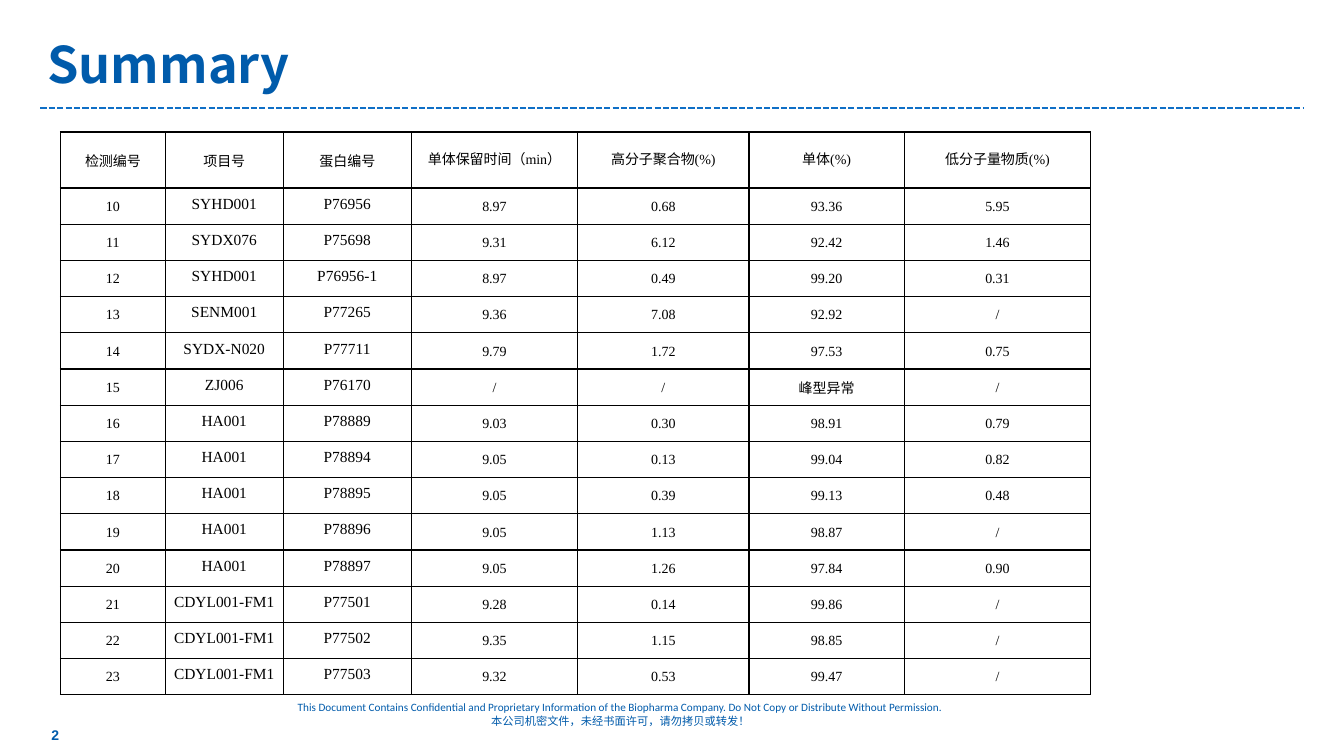
from lxml import etree
from pptx import Presentation
from pptx.dml.color import RGBColor
from pptx.enum.dml import MSO_LINE
from pptx.enum.shapes import MSO_CONNECTOR
from pptx.enum.text import MSO_ANCHOR, PP_ALIGN
from pptx.oxml import parse_xml
from pptx.oxml.ns import nsdecls, qn
from pptx.util import Inches, Pt

LEFT, CENTER = PP_ALIGN.LEFT, PP_ALIGN.CENTER
TOP, MIDDLE = MSO_ANCHOR.TOP, MSO_ANCHOR.MIDDLE
DASH = MSO_LINE.SQUARE_DOT
STRAIGHT = MSO_CONNECTOR.STRAIGHT

HEADS = ["检测编号", "项目号", "蛋白编号", "单体保留时间（min）",
         "高分子聚合物(%)", "单体(%)", "低分子量物质(%)"]
TESTS = [
    ["10", "SYHD001", "P76956", "8.97", "0.68", "93.36", "5.95"],
    ["11", "SYDX076", "P75698", "9.31", "6.12", "92.42", "1.46"],
    ["12", "SYHD001", "P76956-1", "8.97", "0.49", "99.20", "0.31"],
    ["13", "SENM001", "P77265", "9.36", "7.08", "92.92", "/"],
    ["14", "SYDX-N020", "P77711", "9.79", "1.72", "97.53", "0.75"],
    ["15", "ZJ006", "P76170", "/", "/", "峰型异常", "/"],
    ["16", "HA001", "P78889", "9.03", "0.30", "98.91", "0.79"],
    ["17", "HA001", "P78894", "9.05", "0.13", "99.04", "0.82"],
    ["18", "HA001", "P78895", "9.05", "0.39", "99.13", "0.48"],
    ["19", "HA001", "P78896", "9.05", "1.13", "98.87", "/"],
    ["20", "HA001", "P78897", "9.05", "1.26", "97.84", "0.90"],
    ["21", "CDYL001-FM1", "P77501", "9.28", "0.14", "99.86", "/"],
    ["22", "CDYL001-FM1", "P77502", "9.35", "1.15", "98.85", "/"],
    ["23", "CDYL001-FM1", "P77503", "9.32", "0.53", "99.47", "/"],
]
WIDTHS = [7.8, 8.78, 9.53, 12.38, 12.75, 11.55, 13.88]
HEAD_ROW, TEST_ROW = 7.4, 4.79
CODES = (1, 2)  # columns of project and protein codes


def color(code):
    return RGBColor.from_string(code)


class Page:
    """Style and current slide; lengths are percent of the slide's size."""
    blue, rule, black = "005BAB", "0F6FC6", "000000"
    sans, serif = "Noto Sans CJK SC", "Times New Roman"

    def __init__(self, deck):
        self.deck = deck
        self.slide = deck.slides.add_slide(deck.slide_layouts[6])

    def x(self, share):
        return round(self.deck.slide_width * share / 100)

    def y(self, share):
        return round(self.deck.slide_height * share / 100)

    def box(self, x, y, w, h):
        return self.x(x), self.y(y), self.x(w), self.y(h)

    def style(self, para, size, face, ink, bold=False, align=LEFT):
        para.alignment = align
        for run in para.runs:
            font = run.font
            font.size, font.name, font.bold = Pt(size), face, bold
            font.color.rgb = color(ink)
            east = etree.SubElement(font._element, qn("a:ea"))
            east.set("typeface", self.sans)

    def text(self, place, lines, size, faces, bold=False, align=LEFT,
             anchor=MIDDLE):
        frame = self.slide.shapes.add_textbox(*self.box(*place)).text_frame
        frame.word_wrap = True
        frame.vertical_anchor = anchor
        frame.text = "\n".join(lines)
        for para, face in zip(frame.paragraphs, faces):
            self.style(para, size, face, self.blue, bold, align)

    def line(self, x1, y1, x2, y2):
        line = self.slide.shapes.add_connector(
            STRAIGHT, self.x(x1), self.y(y1), self.x(x2), self.y(y2))
        line.line.color.rgb = color(self.rule)
        line.line.width = Pt(1.5)
        line.line.dash_style = DASH
        etree.SubElement(line._element.spPr, qn("a:effectLst"))

    def frame(self, cell):
        """Draw a thin black border on all four sides of a cell."""
        props = cell._tc.get_or_add_tcPr()
        for spot, side in enumerate("LRTB"):
            props.insert(spot, parse_xml(
                f'<a:ln{side} {nsdecls("a")} w="{Pt(1)}"><a:solidFill>'
                f'<a:srgbClr val="{self.black}"/></a:solidFill></a:ln{side}>'))

    def cell(self, cell, words, size, side, top, bottom):
        cell.text = words
        cell.fill.background()
        cell.vertical_anchor = MIDDLE
        cell.margin_left = cell.margin_right = self.x(side)
        cell.margin_top, cell.margin_bottom = self.y(top), self.y(bottom)
        self.style(cell.text_frame.paragraphs[0], size, self.serif,
                   self.black, align=CENTER)
        self.frame(cell)

    def table(self, x, y, widths, heights, rows):
        place = self.box(x, y, sum(widths), sum(heights))
        table = self.slide.shapes.add_table(
            len(rows), len(widths), *place).table
        table.first_row = table.horz_banding = False
        for col, width in zip(table.columns, widths):
            col.width = self.x(width)
        for row, height in zip(table.rows, heights):
            row.height = self.y(height)
        for r, row in enumerate(rows):
            for c, words in enumerate(row):
                cell = table.cell(r, c)
                if r == 0 and c > max(CODES):
                    self.cell(cell, words, 10, 0.53, 0, 0)
                    cell.text_frame.paragraphs[0].line_spacing = Pt(12)
                elif r > 0 and c in CODES:
                    self.cell(cell, words, 11, 0.08, 0.13, 0.67)
                else:
                    self.cell(cell, words, 10, 0.08, 0.13, 0)


def main():
    deck = Presentation()
    deck.slide_width, deck.slide_height = Inches(13.33), Inches(7.5)
    page = Page(deck)
    page.line(3, 14.27, 97, 14.27)
    page.text((12.83, 92, 66.69, 6), [
        "This Document Contains Confidential and Proprietary Information of "
        "the Biopharma Company. Do Not Copy or Distribute Without "
        "Permission.",
        "本公司机密文件，未经书面许可，请勿拷贝或转发！",
    ], 8, ["Calibri", page.sans], align=CENTER, anchor=TOP)
    page.text((2.78, 1.73, 74.34, 13.2), ["Summary"], 36, [page.sans],
              bold=True)
    page.text((3.08, 94.53, 9.45, 5.33), ["2"], 10, ["Arial"], bold=True)
    page.table(4.5, 17.47, WIDTHS, [HEAD_ROW] + [TEST_ROW] * len(TESTS),
               [HEADS] + TESTS)
    deck.save("out.pptx")


if __name__ == "__main__":
    main()
